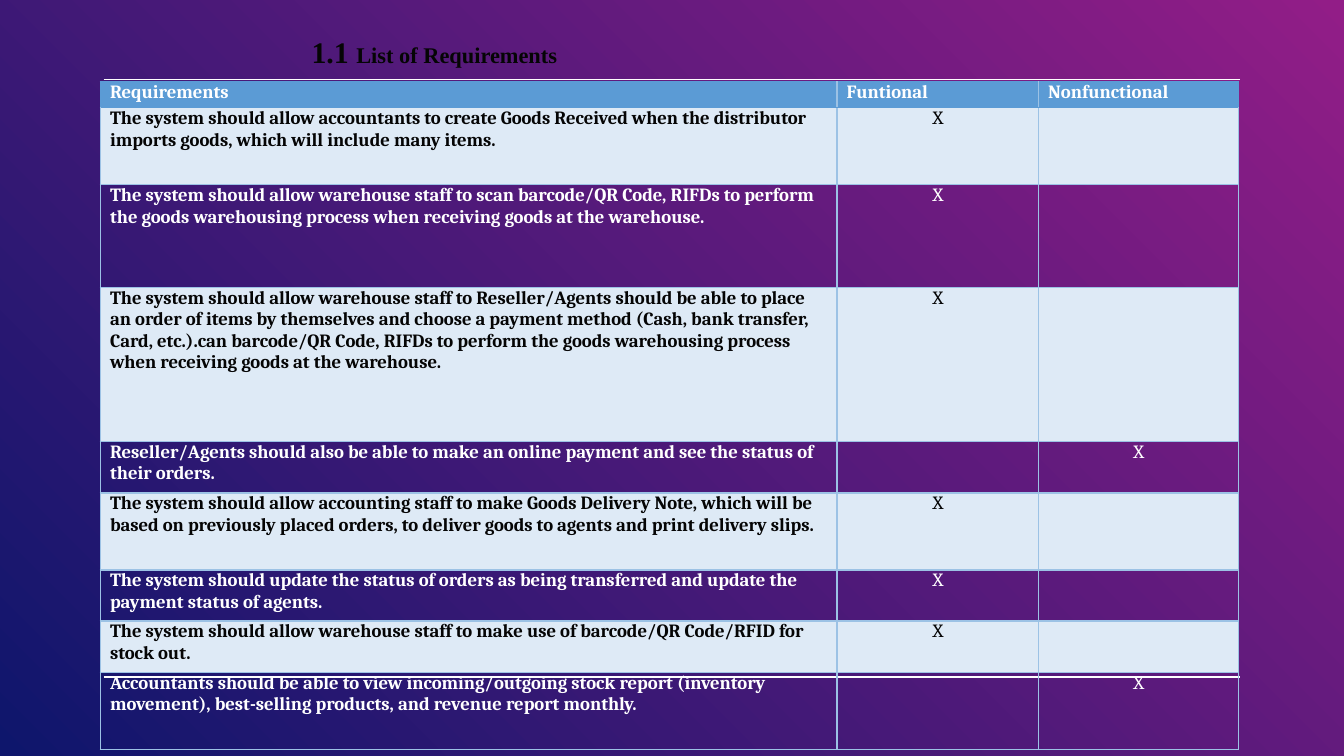
"""Build the slide that lists the system requirements in a table."""
import lxml.etree
import pptx
import pptx.dml.color
import pptx.enum.shapes
import pptx.enum.text
import pptx.oxml.ns
import pptx.util

Cm = pptx.util.Cm
Pt = pptx.util.Pt
qn = pptx.oxml.ns.qn
sub = lxml.etree.SubElement


def hue(code):
    return pptx.dml.color.RGBColor.from_string(code)


def write(par, text, size=10, face="Cambria", tint="FFFFFF", bold=False, mid=False):
    run = par.add_run()
    run.text = text
    run.font.size = Pt(size)
    run.font.name = face
    run.font.bold = bold
    run.font.color.rgb = hue(tint)
    if mid:
        par.alignment = pptx.enum.text.PP_ALIGN.CENTER


WHITE, INK = "FFFFFF", "050505"
BLUE, PALE, RULE = "5B9BD5", "DEEAF6", "9CC2E5"

deck = pptx.Presentation()
deck.slide_width, deck.slide_height = Cm(25.4), Cm(14.29)
slide = deck.slides.add_slide(deck.slide_layouts[6])

back = slide.background.fill
back.gradient()
back.gradient_angle = 225
for stop, code in zip(back.gradient_stops, ("921D87", "0E166C")):
    stop.color.rgb = hue(code)

for y in (1.5, 12.8):
    line = slide.shapes.add_connector(
        pptx.enum.shapes.MSO_CONNECTOR.STRAIGHT, Cm(1.96), Cm(y), Cm(23.44), Cm(y)
    )
    line.line.color.rgb = hue(WHITE)
    line.line.width = Pt(0.75)
    sub(line._element.spPr, qn("a:effectLst"))

title = slide.shapes.add_textbox(Cm(5.64), Cm(0.51), Cm(14.12), Cm(2.13)).text_frame
title.word_wrap = True
head = title.paragraphs[0]
props = head._p.get_or_add_pPr()
props.set("marL", str(Cm(0.64)))
props.set("indent", str(-Cm(0.64)))
for text, size in (("1.1 ", 16), ("List of Requirements", 12)):
    write(head, text, size=size, face="Times New Roman", tint=INK, bold=True)

rows = [
    (1, "Requirements", "Funtional", "Nonfunctional"),
    (3, "The system should allow accountants to create Goods Received when the distributor imports goods, which will include many items.", "X", ""),
    (4, "The system should allow warehouse staff to scan barcode/QR Code, RIFDs to perform the goods warehousing process when receiving goods at the warehouse.", "X", ""),
    (6, "The system should allow warehouse staff to Reseller/Agents should be able to place an order of items by themselves and choose a payment method (Cash, bank transfer, Card, etc.).can barcode/QR Code, RIFDs to perform the goods warehousing process when receiving goods at the warehouse.", "X", ""),
    (2, "Reseller/Agents should also be able to make an online payment and see the status of their orders.", "", "X"),
    (3, "The system should allow accounting staff to make Goods Delivery Note, which will be based on previously placed orders, to deliver goods to agents and print delivery slips.", "X", ""),
    (2, "The system should update the status of orders as being transferred and update the payment status of agents.", "X", ""),
    (2, "The system should allow warehouse staff to make use of barcode/QR Code/RFID for stock out.", "X", ""),
    (3, "Accountants should be able to view incoming/outgoing stock report (inventory movement), best-selling products, and revenue report monthly.", "", "X"),
]
wide, tall = (13.92, 3.81, 3.78), 12.62
unit = tall / sum(row[0] for row in rows)
grid = slide.shapes.add_table(
    len(rows), len(wide), Cm(1.9), Cm(1.55), Cm(sum(wide)), Cm(tall)
).table
grid.first_row = grid.horz_banding = False
for col, width in zip(grid.columns, wide):
    col.width = Cm(width)

for r, (lines, *texts) in enumerate(rows):
    grid.rows[r].height = Cm(unit * lines)
    for c, text in enumerate(texts):
        cell = grid.cell(r, c)
        cell.margin_left = cell.margin_right = Cm(0.18)
        cell.margin_top = cell.margin_bottom = 0
        edges = {
            "L": BLUE if r == 0 and c == 0 else RULE,
            "R": BLUE if r == 0 and c == len(wide) - 1 else RULE,
            "T": BLUE if r < 2 else RULE,
            "B": BLUE if r == 0 else RULE,
        }
        for side, code in edges.items():
            edge = sub(cell._tc.get_or_add_tcPr(), qn("a:ln" + side), w=str(Pt(1)))
            sub(sub(edge, qn("a:solidFill")), qn("a:srgbClr"), val=code)
        if r % 2 or r == 0:
            cell.fill.solid()
            cell.fill.fore_color.rgb = hue(PALE if r else BLUE)
        else:
            cell.fill.background()
        if text:
            write(
                cell.text_frame.paragraphs[0],
                text,
                tint=INK if r % 2 else WHITE,
                bold=r == 0 or c == 0,
                mid=r > 0 and c > 0,
            )

deck.save("out.pptx")
